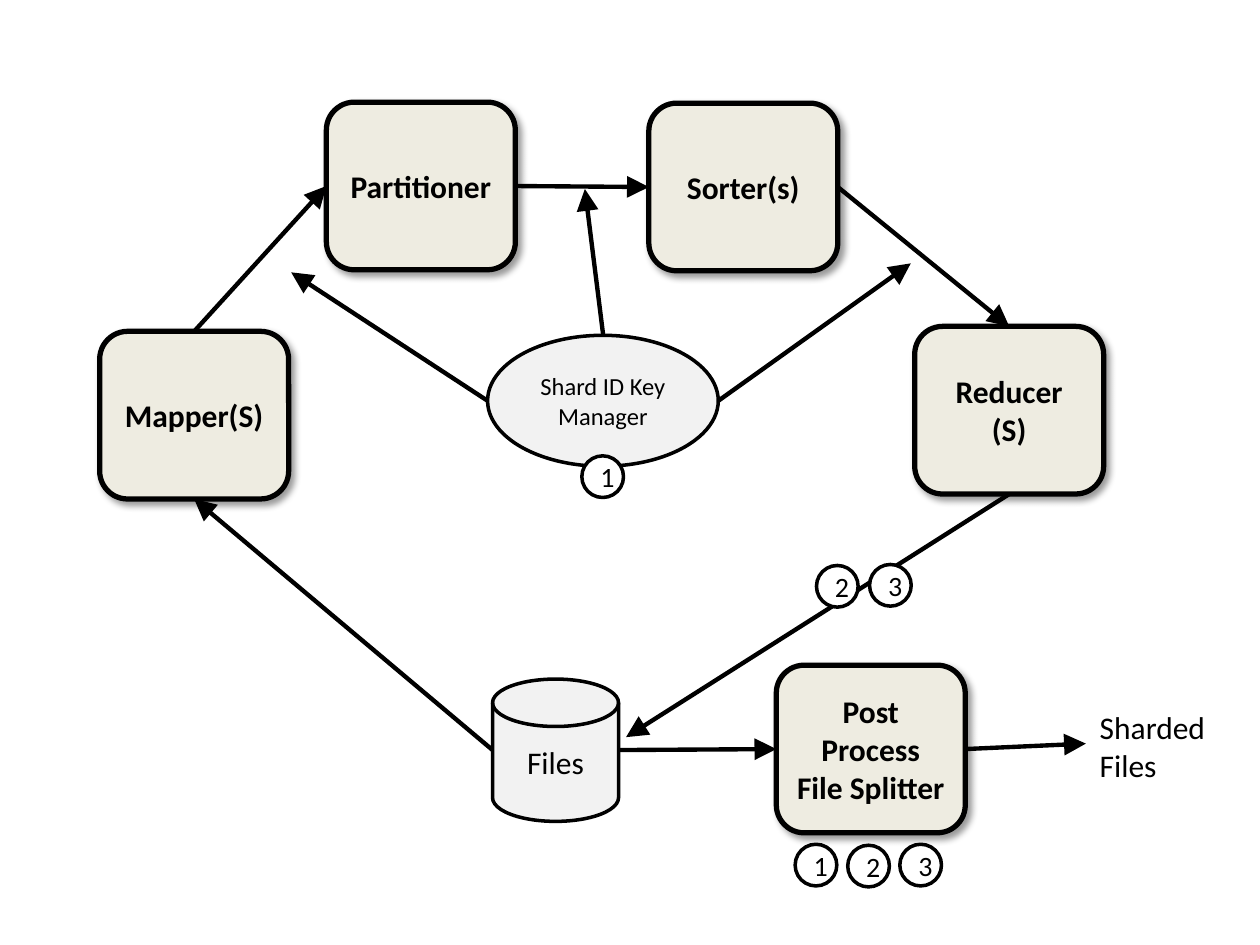
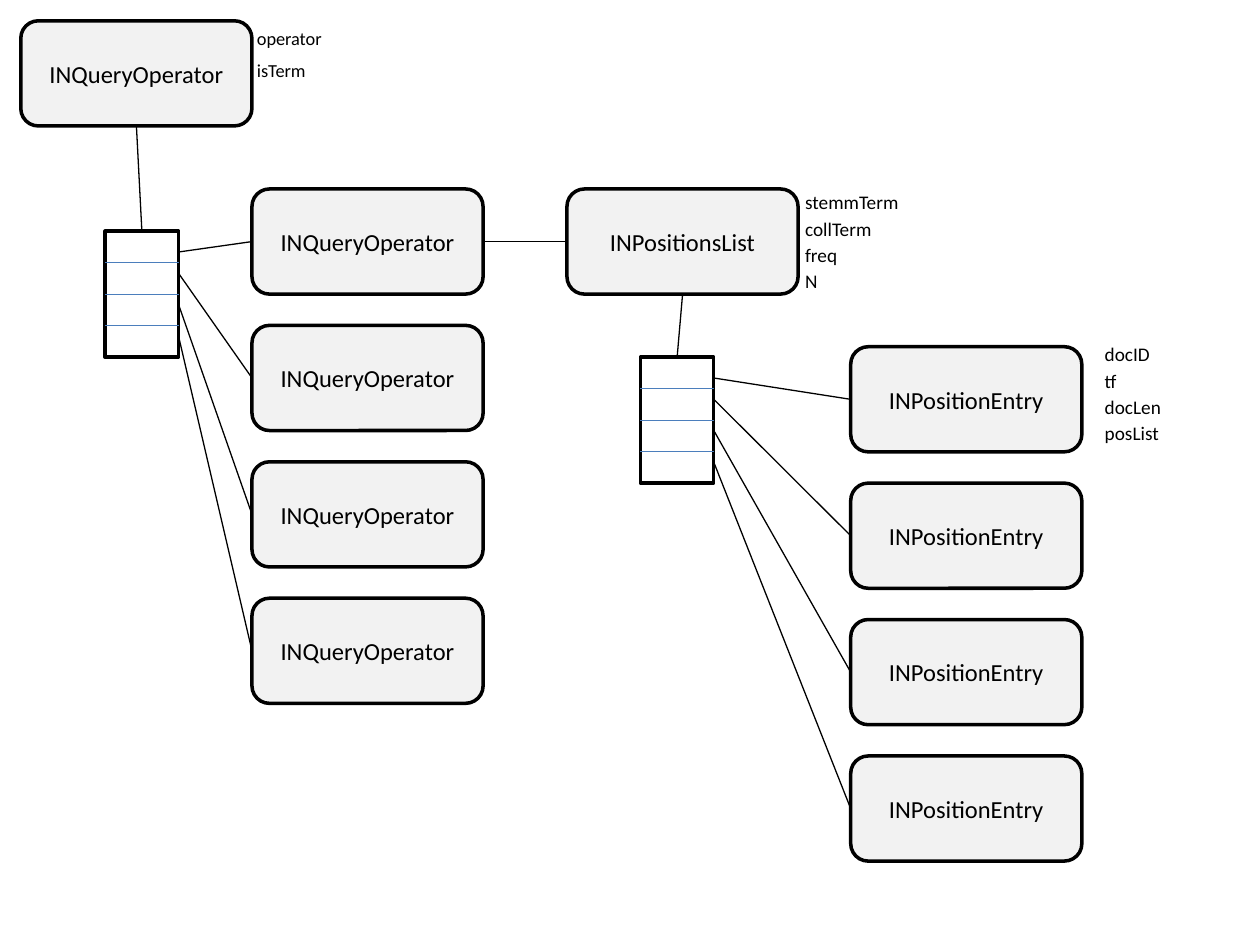
"""Draw a sharding pipeline and a query operator structure on two slides."""
import lxml.etree
import pptx
import pptx.dml.color
import pptx.enum.shapes
import pptx.enum.text
import pptx.oxml.ns
import pptx.util

Cm = pptx.util.Cm
Pt = pptx.util.Pt
qn = pptx.oxml.ns.qn
KIND = pptx.enum.shapes.MSO_SHAPE
ALIGN = pptx.enum.text.PP_ALIGN
ANCHOR = pptx.enum.text.MSO_ANCHOR
FIT = pptx.enum.text.MSO_AUTO_SIZE

COLORS = {
    "ink": "000000",
    "paper": "FFFFFF",
    "stage": "EEECE1",
    "node": "F2F2F2",
    "divider": "4B7EBC",
}
STAGE_FONT = {"size": Pt(18), "bold": True}
STAGE_SIZE = (3.81, 3.38)
NODE_SIZE = (4.66, 2.12)
NODE_PITCH = 2.75
STACK_SIZE = (1.48, 2.54)
STACK_CELLS = 4
STACK_EXITS = (0.42, 0.85, 1.48, 2.12)
BADGE = 0.84
TOP, LEFT, BOTTOM, RIGHT = range(4)


def rgb(name):
    return pptx.dml.color.RGBColor.from_string(COLORS[name])


def add_text(tf, lines, font, align):
    for i, line in enumerate(lines):
        p = tf.add_paragraph() if i else tf.paragraphs[0]
        p.alignment = align
        r = p.add_run()
        r.text = line
        r.font.color.rgb = rgb("ink")
        for key, value in {"name": "Calibri", **font}.items():
            setattr(r.font, key, value)


def add_box(shapes, kind, at, size, fill, lines=(), font=None, width=2):
    sp = shapes.add_shape(kind, *map(Cm, at + size))
    sp.shadow.inherit = False
    sp.fill.solid()
    sp.fill.fore_color.rgb = rgb(fill)
    sp.line.color.rgb = rgb("ink")
    sp.line.width = Pt(width)
    tf = sp.text_frame
    tf.word_wrap = True
    tf.vertical_anchor = ANCHOR.MIDDLE
    add_text(tf, lines, font or {}, ALIGN.CENTER)
    return sp


def add_shadow(sp):
    effects = sp._element.spPr.find(qn("a:effectLst"))
    shadow = lxml.etree.SubElement(
        effects, qn("a:outerShdw"), blurRad=str(Pt(4)), dist=str(Pt(3)),
        dir="2700000", algn="tl", rotWithShape="0")
    color = lxml.etree.SubElement(shadow, qn("a:srgbClr"), val=COLORS["ink"])
    lxml.etree.SubElement(color, qn("a:alpha"), val="40000")


def add_stage(shapes, at, *lines):
    sp = add_box(shapes, KIND.ROUNDED_RECTANGLE, at, STAGE_SIZE, "stage",
                 lines, STAGE_FONT, 3)
    add_shadow(sp)
    return sp


def add_node(shapes, at, name):
    return add_box(shapes, KIND.ROUNDED_RECTANGLE, at, NODE_SIZE, "node",
                   [name], {"size": Pt(14)})


def add_badge(shapes, at, number):
    add_box(shapes, KIND.OVAL, at, (BADGE, BADGE), "paper", [number],
            {"size": Pt(16)})


def add_label(shapes, at, size, lines, points):
    sp = shapes.add_textbox(*map(Cm, at + size))
    tf = sp.text_frame
    tf.word_wrap = False
    tf.auto_size = FIT.SHAPE_TO_FIT_TEXT
    add_text(tf, lines, {"size": Pt(points)}, ALIGN.LEFT)


def add_line(shapes, start, end, width=0.75, color="ink", arrow=False):
    """Join two ends, each a point in cm or a pair of shape and side."""
    glued = [isinstance(e[1], int) for e in (start, end)]
    points = [(0, 0) if g else e for g, e in zip(glued, (start, end))]
    s = shapes.add_connector(pptx.enum.shapes.MSO_CONNECTOR.STRAIGHT,
                             *map(Cm, points[0] + points[1]))
    if glued[0]:
        s.begin_connect(*start)
    if glued[1]:
        s.end_connect(*end)
    s.line.color.rgb = rgb(color)
    s.line.width = Pt(width)
    spPr = s._element.spPr
    if arrow:
        lxml.etree.SubElement(spPr.find(qn("a:ln")), qn("a:tailEnd"),
                              type="triangle", w="lg", len="lg")
    lxml.etree.SubElement(spPr, qn("a:effectLst"))


def add_stack(slide, at, parent, nodes):
    shapes = slide.shapes.add_group_shape().shapes
    x, y = at
    w, h = STACK_SIZE
    stack = add_box(shapes, KIND.RECTANGLE, at, STACK_SIZE, "paper")
    for i in range(1, STACK_CELLS):
        row = y + h * i / STACK_CELLS
        add_line(shapes, (x, row), (x + w, row), color="divider")
    add_line(slide.shapes, (stack, TOP), (parent, BOTTOM))
    for node, exit_y in zip(nodes, STACK_EXITS):
        add_line(slide.shapes, (node, LEFT), (x + w, y + exit_y))


def add_fields(shapes, x, y, pitch, points, fields):
    for i, (name, width) in enumerate(fields):
        add_label(shapes, (x, y + pitch * i), (width, 0.73), [name], points)


def build_pipeline(slide):
    shapes = slide.shapes.add_group_shape().shapes
    mapper = add_stage(shapes, (2.01, 6.68), "Mapper(S)")
    partitioner = add_stage(shapes, (6.58, 2.06), "Partitioner")
    sorter = add_stage(shapes, (13.08, 2.08), "Sorter(s)")
    reducer = add_stage(shapes, (18.44, 6.58), "Reducer (S)")
    splitter = add_stage(shapes, (15.65, 13.41), "Post Process",
                         "File Splitter")
    add_box(shapes, KIND.FLOWCHART_MAGNETIC_DISK, (9.93, 13.69), (2.54, 2.87),
            "node", ["Files"], {"size": Pt(18)})
    add_box(shapes, KIND.OVAL, (9.83, 6.76), (4.65, 2.64), "node",
            ["Shard ID Key Manager"], {"size": Pt(14)})
    add_label(shapes, (21.92, 14.15), (2.67, 1.8), ["Sharded", "Files"], 18)
    for start, end in (
        ((mapper, TOP), (partitioner, LEFT)),
        ((partitioner, RIGHT), (sorter, LEFT)),
        ((sorter, RIGHT), (reducer, TOP)),
        ((reducer, BOTTOM), (12.62, 14.86)),
        ((9.93, 15.12), (mapper, BOTTOM)),
        ((12.47, 15.12), (splitter, LEFT)),
        ((splitter, RIGHT), (21.89, 14.99)),
        ((9.83, 8.08), (5.87, 5.49)),
        ((12.16, 6.76), (11.79, 3.81)),
        ((14.48, 8.08), (18.36, 5.31)),
    ):
        add_line(shapes, start, end, 2.5, arrow=True)
    for number, at in (
        ("1", (11.73, 9.19)), ("2", (16.46, 11.4)), ("3", (17.53, 11.38)),
        ("1", (16.03, 17.02)), ("2", (17.09, 17.04)), ("3", (18.14, 17.02)),
    ):
        add_badge(shapes, at, number)


def build_query_structure(slide):
    shapes = slide.shapes
    root = add_node(shapes, (0.42, 0.42), "INQueryOperator")
    positions = add_node(shapes, (11.43, 3.81), "INPositionsList")
    operators, entries = (
        [add_node(shapes, (x, y + NODE_PITCH * i), name)
         for i in range(STACK_CELLS)]
        for x, y, name in ((5.08, 3.81, "INQueryOperator"),
                           (17.15, 6.99, "INPositionEntry")))
    add_stack(slide, (2.12, 4.66), root, operators)
    add_stack(slide, (12.91, 7.2), positions, entries)
    add_line(shapes, (positions, LEFT), (operators[0], RIGHT))
    add_fields(shapes, 4.93, 0.42, 0.65, 10.5,
               (("operator", 1.85), ("isTerm", 1.6)))
    add_fields(shapes, 15.98, 3.72, 0.53, 11,
               (("stemmTerm", 2.44), ("collTerm", 1.9), ("freq", 1.17),
                ("N", 0.76)))
    add_fields(shapes, 22.02, 6.78, 0.53, 11,
               (("docID", 1.42), ("tf", 0.76), ("docLen", 1.65),
                ("posList", 1.6)))


def main():
    prs = pptx.Presentation()
    prs.slide_width, prs.slide_height = Cm(25.4), Cm(19.05)
    for build in (build_pipeline, build_query_structure):
        build(prs.slides.add_slide(prs.slide_layouts[6]))
    prs.save("out.pptx")


main()
